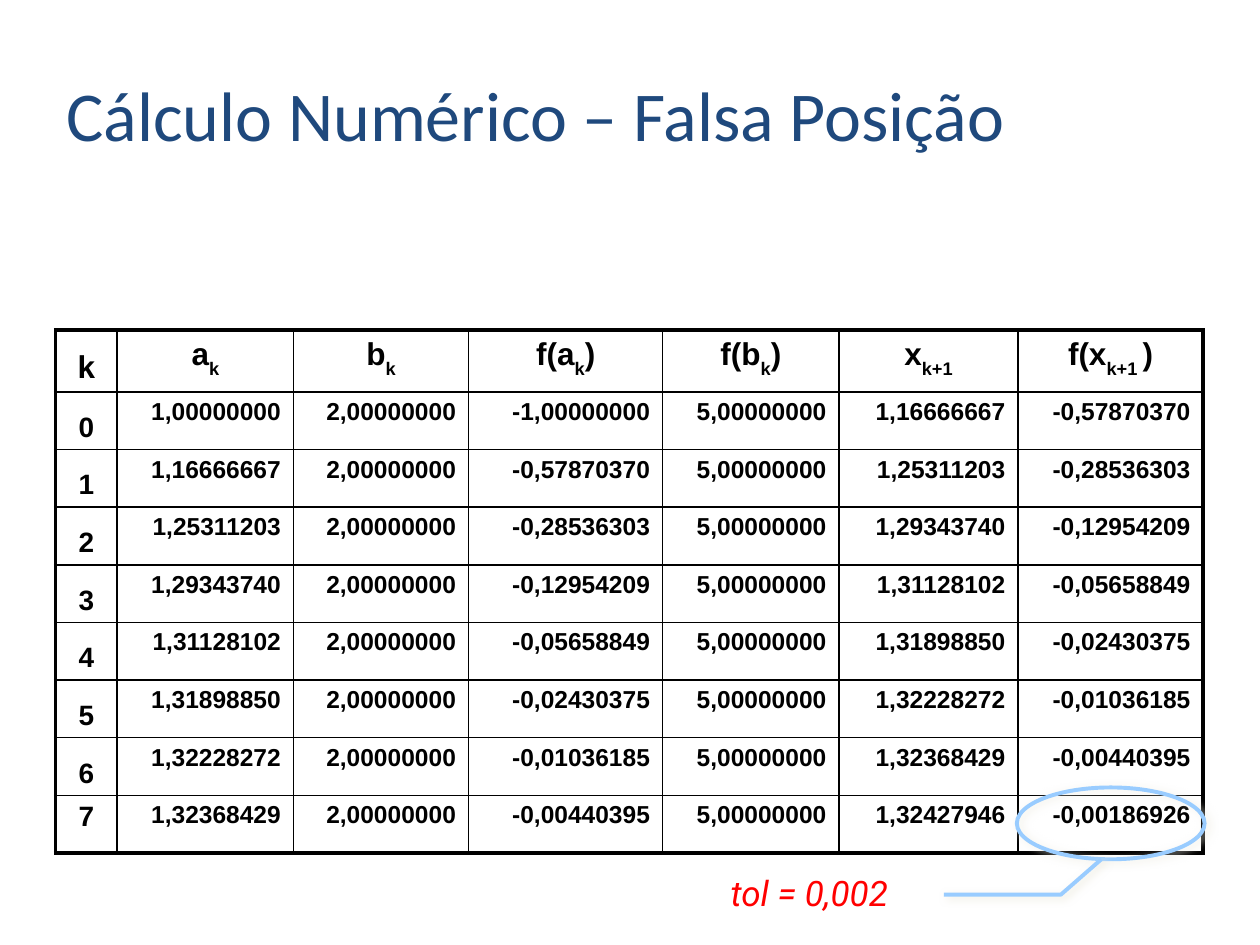
from lxml import etree
from pptx import Presentation
from pptx.dml.color import RGBColor
from pptx.enum.shapes import MSO_SHAPE
from pptx.enum.text import MSO_ANCHOR, PP_ALIGN
from pptx.oxml.ns import qn
from pptx.util import Inches, Pt

OVAL = MSO_SHAPE.OVAL
TOP, BOTTOM = MSO_ANCHOR.TOP, MSO_ANCHOR.BOTTOM
LEFT, CENTER, RIGHT = PP_ALIGN.LEFT, PP_ALIGN.CENTER, PP_ALIGN.RIGHT

COLORS = {
    "title": "1F497D",
    "table": "000000",
    "callout": "99CCFF",
    "tolerance": "FF0000",
    "shadow": "EEECE1",
}

TABLE_LEFT, TABLE_TOP, TABLE_HEIGHT = 0.44, 2.62, 4.15
COLUMN_WIDTHS = [0.49, 1.4, 1.39, 1.54, 1.4, 1.42, 1.47]
HEADER_HEIGHT = 0.49
THIN, THICK = 1, 2.25

# Each heading: base text, subscript, closing text
HEADINGS = [
    ("k", "", ""),
    ("a", "k", ""),
    ("b", "k", ""),
    ("f(a", "k", ")"),
    ("f(b", "k", ")"),
    ("x", "k+1", ""),
    ("f(x", "k+1 ", ")"),
]

# Successive approximations x and f(x); each one is the next lower bound a
APPROXIMATIONS = [
    ("1,00000000", "-1,00000000"),
    ("1,16666667", "-0,57870370"),
    ("1,25311203", "-0,28536303"),
    ("1,29343740", "-0,12954209"),
    ("1,31128102", "-0,05658849"),
    ("1,31898850", "-0,02430375"),
    ("1,32228272", "-0,01036185"),
    ("1,32368429", "-0,00440395"),
    ("1,32427946", "-0,00186926"),
]
UPPER_BOUND, F_UPPER_BOUND = "2,00000000", "5,00000000"


def add_run(paragraph, text, font, size, color, bold=False, italic=False, baseline=0):
    run = paragraph.add_run()
    run.text = text
    run.font.name = font
    run.font.size = Pt(size)
    run.font.bold = bold
    run.font.italic = italic
    run.font.color.rgb = RGBColor.from_string(COLORS[color])
    if baseline:
        run._r.get_or_add_rPr().set("baseline", str(baseline))


def add_text(shapes, box, text, font, size, color, anchor=TOP, italic=False):
    frame = shapes.add_textbox(*map(Inches, box)).text_frame
    frame.word_wrap = True
    frame.vertical_anchor = anchor
    frame.paragraphs[0].alignment = LEFT
    add_run(frame.paragraphs[0], text, font, size, color, italic=italic)


def set_borders(cell, widths):
    """Draw the left, right, top and bottom borders, with widths in points."""
    properties = cell._tc.get_or_add_tcPr()
    for side, width in zip(("a:lnL", "a:lnR", "a:lnT", "a:lnB"), widths):
        line = etree.SubElement(properties, qn(side), w=str(Pt(width)))
        fill = etree.SubElement(line, qn("a:solidFill"))
        etree.SubElement(fill, qn("a:srgbClr"), val=COLORS["table"])


def fill_cell(cell, parts, size, alignment, anchor, borders):
    cell.vertical_anchor = anchor
    paragraph = cell.text_frame.paragraphs[0]
    paragraph.alignment = alignment
    for text, baseline in zip(parts, (0, -32000, 0)):
        if text:
            add_run(paragraph, text, "Arial", size, "table", bold=True, baseline=baseline)
    set_borders(cell, borders)
    cell.fill.background()


def add_iteration_table(shapes):
    rows = [HEADINGS]
    for k, (lower, following) in enumerate(zip(APPROXIMATIONS, APPROXIMATIONS[1:])):
        a, f_a = lower
        values = (str(k), a, UPPER_BOUND, f_a, F_UPPER_BOUND, *following)
        rows.append([(value,) for value in values])
    last_row, last_column = len(rows) - 1, len(HEADINGS) - 1

    table = shapes.add_table(
        len(rows), len(HEADINGS), Inches(TABLE_LEFT), Inches(TABLE_TOP),
        Inches(sum(COLUMN_WIDTHS)), Inches(TABLE_HEIGHT)).table
    table.first_row = False
    table.horz_banding = False
    for column, width in zip(table.columns, COLUMN_WIDTHS):
        column.width = Inches(width)
    row_height = (TABLE_HEIGHT - HEADER_HEIGHT) / last_row

    for r, row in enumerate(rows):
        table.rows[r].height = Inches(row_height if r else HEADER_HEIGHT)
        for c, parts in enumerate(row):
            size = 18 if r == 0 else 16 if c == 0 else 14
            alignment = RIGHT if r and c else CENTER
            anchor = BOTTOM if c == 0 and r < last_row else TOP
            outer_edges = (c == 0, c == last_column, r == 0, r == last_row)
            borders = [THICK if outer else THIN for outer in outer_edges]
            fill_cell(table.cell(r, c), parts, size, alignment, anchor, borders)


def style_outline(shape, opacity, distance, direction):
    """Leave the shape unfilled, with a callout line and a soft shadow."""
    shape.fill.background()
    shape.line.color.rgb = RGBColor.from_string(COLORS["callout"])
    shape.line.width = Pt(THICK)
    shape.shadow.inherit = False
    effects = shape._element.spPr.find(qn("a:effectLst"))
    shadow = etree.SubElement(
        effects, qn("a:outerShdw"), blurRad=str(Pt(5)), dist=str(Pt(distance)),
        dir=str(direction * 60000), algn="ctr", rotWithShape="0")
    color = etree.SubElement(shadow, qn("a:srgbClr"), val=COLORS["shadow"])
    etree.SubElement(color, qn("a:alpha"), val=str(opacity * 1000))


def add_tolerance_callout(shapes):
    callout = shapes.add_group_shape().shapes

    # Ring around the final value
    ring = callout.add_shape(OVAL, *map(Inches, (8.07, 6.25, 1.49, 0.57)))
    style_outline(ring, 75, 2.3, 25)

    # Bent leader from the ring to the tolerance
    builder = callout.build_freeform(Inches(8.74), Inches(6.82))
    bends = [(Inches(8.42), Inches(7.1)), (Inches(7.49), Inches(7.1))]
    builder.add_line_segments(bends, close=False)
    style_outline(builder.convert_to_shape(), 100, 2.2, 27)

    add_text(callout, (5.7, 6.87, 1.76, 0.43), "tol = 0,002",
             "Roboto", 20, "tolerance", italic=True)


def main():
    presentation = Presentation()
    presentation.slide_width = Inches(10)
    presentation.slide_height = Inches(7.5)
    shapes = presentation.slides.add_slide(presentation.slide_layouts[6]).shapes

    add_iteration_table(shapes)
    add_tolerance_callout(shapes)
    add_text(shapes, (0.43, 0.44, 9.39, 0.84), "Cálculo Numérico – Falsa Posição",
             "Calibri", 40, "title", anchor=BOTTOM)

    presentation.save("out.pptx")


if __name__ == "__main__":
    main()
